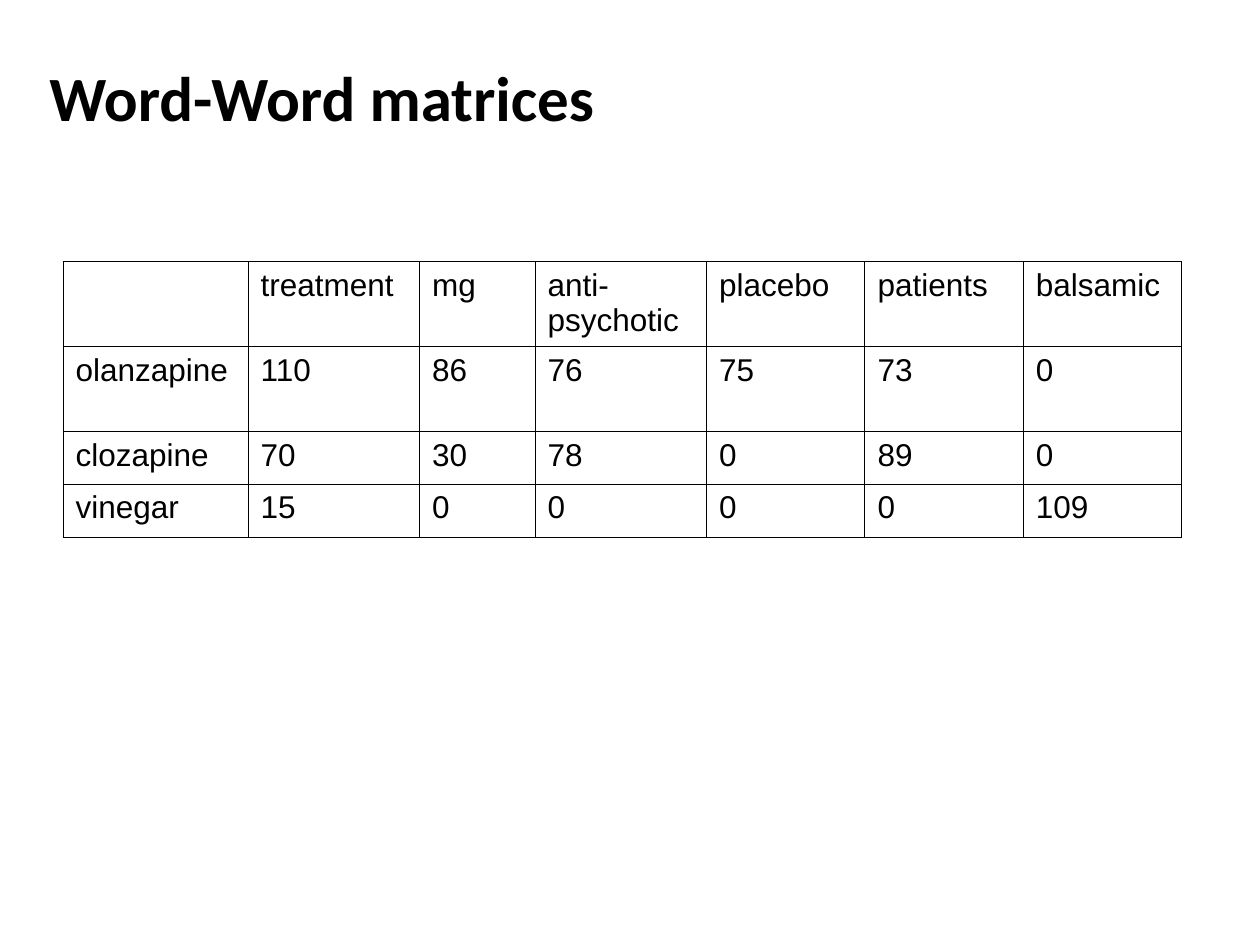
from pptx import Presentation
from pptx.util import Pt
from pptx.dml.color import RGBColor
from pptx.enum.text import MSO_ANCHOR
from pptx.oxml import parse_xml
from pptx.oxml.ns import nsdecls


def color(value):
    return RGBColor.from_string(value)


def add_borders(cell, width, value):
    tcPr = cell._tc.get_or_add_tcPr()
    for i, side in enumerate(("lnL", "lnR", "lnT", "lnB")):
        tcPr.insert(i, parse_xml(
            f'<a:{side} {nsdecls("a")} w="{int(Pt(width))}"><a:solidFill>'
            f'<a:srgbClr val="{value}"/></a:solidFill></a:{side}>'))


BLACK = "000000"

prs = Presentation()
prs.slide_width, prs.slide_height = Pt(720), Pt(540)
s = prs.slides.add_slide(prs.slide_layouts[6])

# Word-by-word counts
rows = [
    ["", "treatment", "mg", "anti-\npsychotic", "placebo", "patients", "balsamic"],
    ["olanzapine", 110, 86, 76, 75, 73, 0],
    ["clozapine", 70, 30, 78, 0, 89, 0],
    ["vinegar", 15, 0, 0, 0, 0, 109],
]
col_widths = [105.8, 98, 66, 98, 90.5, 90.5, 90.5]
row_heights = [48.5, 48.5, 30.2, 30.2]

table = s.shapes.add_table(len(rows), len(col_widths), Pt(36), Pt(149.5),
                           Pt(sum(col_widths)), Pt(sum(row_heights))).table
table.first_row = table.horz_banding = False
for col, width in zip(table.columns, col_widths):
    col.width = Pt(width)
for row, height, values in zip(table.rows, row_heights, rows):
    row.height = Pt(height)
    for cell, value in zip(row.cells, values):
        cell.text = str(value)
        cell.fill.background()
        add_borders(cell, 0.57, BLACK)
        for p in cell.text_frame.paragraphs:
            p.font.name, p.font.size = "Arial", Pt(18)
            p.font.color.rgb = color(BLACK)

# Title
tf = s.shapes.add_textbox(Pt(28.2), Pt(10), Pt(648), Pt(90)).text_frame
tf.word_wrap = True
tf.vertical_anchor = MSO_ANCHOR.MIDDLE
tf.margin_left = tf.margin_right = tf.margin_top = tf.margin_bottom = 0
p = tf.paragraphs[0]
p.text = "Word-Word matrices"
p.font.name, p.font.size, p.font.bold = "Calibri", Pt(36), True
p.font.color.rgb = color(BLACK)

prs.save("out.pptx")
